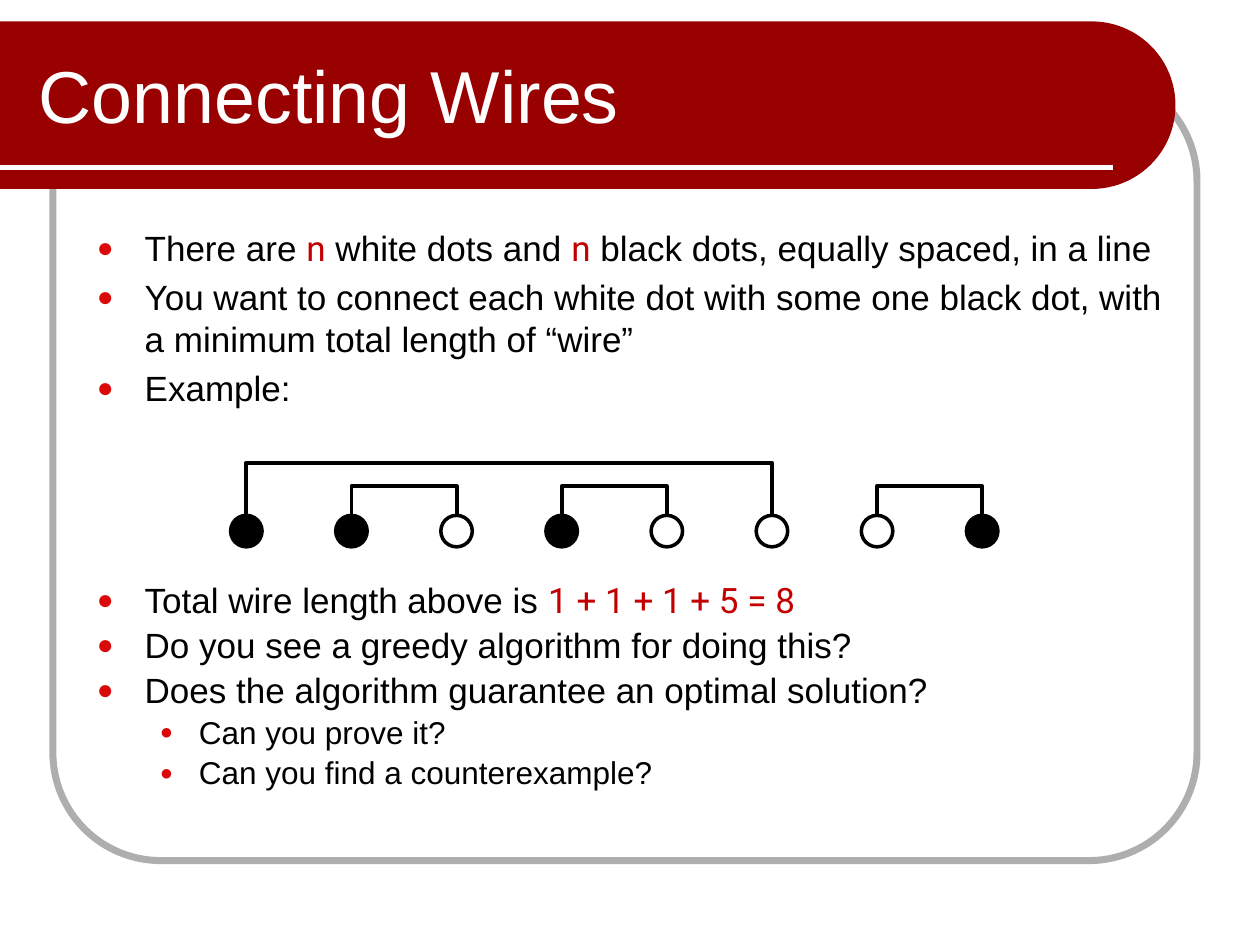
from dataclasses import dataclass

from lxml import etree
from pptx import Presentation
from pptx.dml.color import RGBColor
from pptx.enum.shapes import MSO_CONNECTOR, MSO_SHAPE
from pptx.enum.text import MSO_ANCHOR
from pptx.oxml.ns import qn
from pptx.util import Emu, Inches, Pt

ELBOW, STRAIGHT = MSO_CONNECTOR.ELBOW, MSO_CONNECTOR.STRAIGHT
OVAL, ROUNDED = MSO_SHAPE.OVAL, MSO_SHAPE.ROUNDED_RECTANGLE
TOP, MIDDLE = MSO_ANCHOR.TOP, MSO_ANCHOR.MIDDLE


@dataclass(frozen=True)
class Theme:
    banner: str = "990000"
    frame: str = "AEAEAE"
    light: str = "FFFFFF"
    dark: str = "000000"
    accent: str = "C30000"
    bullet: str = "DA0808"
    font: str = "Arial"
    math_font: str = "Roboto"
    title_size: float = 42
    sizes: tuple = (20, 18)
    bullet_sizes: tuple = (80, 70)
    indents: tuple = ((0.38, 0.38), (0.81, 0.31))


THEME = Theme()
DOTS = "BBWBWWWB"
WIRES = [(6, 7, 0.23), (1, 2, 0.23), (3, 4, 0.23), (0, 5, 0.42)]  # from, to, rise

# Each line is (level, text); text between asterisks is mathematical.
PROBLEM = [
    (0, "There are *n* white dots and *n* black dots, equally spaced, in a line"),
    (0, "You want to connect each white dot with some one black dot, "
        "with a minimum total length of “wire”"),
    (0, "Example:"),
]
QUESTIONS = [
    (0, "Total wire length above is *1 + 1 + 1 + 5 = 8*"),
    (0, "Do you see a greedy algorithm for doing this?"),
    (0, "Does the algorithm guarantee an optimal solution?"),
    (1, "Can you prove it?"),
    (1, "Can you find a counterexample?"),
]


def rgb(value):
    return RGBColor.from_string(value)


def style(s, fill=None, line=None, width=1):
    s.shadow.inherit = False
    if fill:
        s.fill.solid()
        s.fill.fore_color.rgb = rgb(fill)
    else:
        s.fill.background()
    if line:
        s.line.color.rgb = rgb(line)
        s.line.width = Pt(width)
    else:
        s.line.fill.background()


def add_line(shapes, kind, start, end, color, width):
    c = shapes.add_connector(kind, *map(Inches, (*start, *end)))
    c.line.color.rgb = rgb(color)
    c.line.width = Pt(width)
    etree.SubElement(c._element.spPr, qn("a:effectLst"))
    return c


def add_text(p, text, *, size, color=THEME.dark, font=THEME.font):
    r = p.add_run()
    r.text = text
    r.font.name, r.font.size = font, Pt(size)
    r.font.color.rgb = rgb(color)


def add_frame(slide, box, anchor=TOP):
    tf = slide.shapes.add_textbox(*map(Inches, box)).text_frame
    tf.word_wrap = True
    tf.vertical_anchor = anchor
    return tf


def set_bullet(p, level):
    left, hanging = THEME.indents[level]
    pPr = p._p.get_or_add_pPr()
    pPr.set("marL", str(Inches(left)))
    pPr.set("indent", str(-Inches(hanging)))
    color = etree.SubElement(pPr, qn("a:buClr"))
    etree.SubElement(color, qn("a:srgbClr"), val=THEME.bullet)
    etree.SubElement(pPr, qn("a:buSzPct"), val=str(THEME.bullet_sizes[level] * 1000))
    etree.SubElement(pPr, qn("a:buFont"), typeface=THEME.font)
    etree.SubElement(pPr, qn("a:buChar"), char="●")


def add_bullets(slide, box, lines, spacing=1.0):
    tf = add_frame(slide, box)
    for i, (level, text) in enumerate(lines):
        p = tf.paragraphs[0] if i == 0 else tf.add_paragraph()
        size = THEME.sizes[level]
        p.level = level
        p.line_spacing = spacing
        p.space_before = Pt(size * 0.2)
        set_bullet(p, level)
        for j, part in enumerate(text.split("*")):
            if j % 2:
                add_text(p, part, size=size, color=THEME.accent, font=THEME.math_font)
            elif part:
                add_text(p, part, size=size)


def add_border(slide, box):
    s = slide.shapes.add_shape(ROUNDED, *map(Inches, box))
    s.adjustments[0] = 0.137
    style(s, line=THEME.frame, width=4)


def add_banner(slide, box, title):
    """Draw a band with a half-round right end, its rule and its title."""
    x, y, w, h = box
    radius = h / 2
    band = slide.shapes.build_freeform(Inches(x), Inches(y))
    band.add_line_segments([(Inches(x + w), Inches(y)),
                            (Inches(x + w), Inches(y + h)),
                            (Inches(x), Inches(y + h))])
    s = band.convert_to_shape()
    style(s, fill=THEME.banner)
    outline = s._element.spPr.find(".//" + qn("a:path"))
    corner = outline.findall(qn("a:lnTo"))[0].find(qn("a:pt"))
    corner.set("x", str(Inches(w - radius)))
    arc = etree.Element(qn("a:arcTo"), wR=str(Inches(radius)), hR=str(Inches(radius)),
                        stAng="16200000", swAng="10800000")
    outline.replace(outline.findall(qn("a:lnTo"))[1], arc)

    rule_y = y + h * 0.87
    add_line(slide.shapes, STRAIGHT, (x, rule_y), (x + w - 0.5, rule_y), THEME.light, 3)
    tf = add_frame(slide, (x + 0.21, y + 0.08, 7.79, 1), MIDDLE)
    add_text(tf.paragraphs[0], title, size=THEME.title_size, color=THEME.light)


def add_wire(shapes, x1, x2, y, rise):
    """Bend an elbow connector upward between two points of equal height."""
    middle, half, thin = (x1 + x2) / 2, (x2 - x1) / 2, 0.01
    c = add_line(shapes, ELBOW, (middle - thin / 2, y + half),
                 (middle + thin / 2, y - half), THEME.dark, 2.25)
    c._element.spPr.find(qn("a:xfrm")).set("rot", "5400000")
    guides = c._element.spPr.find(qn("a:prstGeom")).get_or_add_avLst()
    ratio = round(-rise / thin * 100000)
    etree.SubElement(guides, qn("a:gd"), name="adj1", fmla=f"val {ratio}")


def add_dots(slide, box):
    """Place the dots at equal steps along the box and wire the pairs."""
    x, y, w, size = box
    step = (w - size) / (len(DOTS) - 1)
    dots = slide.shapes.add_group_shape().shapes
    for i, kind in enumerate(DOTS):
        s = dots.add_shape(OVAL, *map(Inches, (x + i * step, y, size, size)))
        style(s, THEME.dark if kind == "B" else THEME.light, THEME.dark, 2)
    for first, last, rise in WIRES:
        x1, x2 = (x + size / 2 + i * step for i in (first, last))
        add_wire(slide.shapes, x1, x2, y, rise)


def main():
    prs = Presentation()
    prs.slide_width, prs.slide_height = Inches(10), Inches(7.5)
    slide = prs.slides.add_slide(prs.slide_layouts[6])
    add_border(slide, (0.42, 0.58, 9.08, 6.25))
    add_banner(slide, (0, 0.17, 9.33, 1.33), "Connecting Wires")
    add_bullets(slide, (0.67, 1.75, 8.67, 2.2), PROBLEM)
    add_bullets(slide, (0.67, 4.58, 8.75, 2.25), QUESTIONS, spacing=0.9)
    add_dots(slide, (1.83, 4.09, 6.09, 0.25))
    prs.save("out.pptx")


if __name__ == "__main__":
    main()
